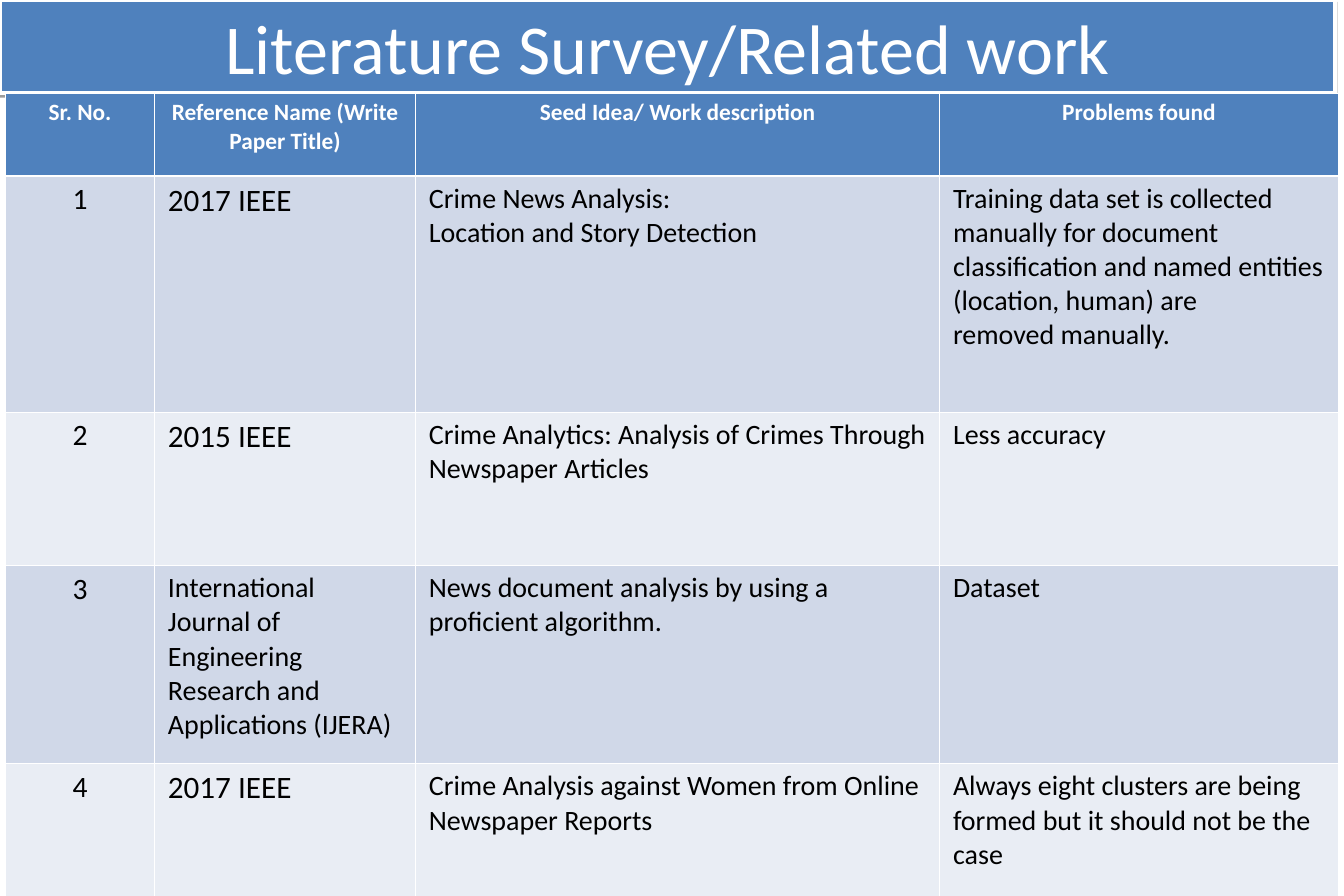
from lxml import etree
from pptx import Presentation
from pptx import util as u
from pptx.dml.color import RGBColor
from pptx.enum import text
from pptx.oxml import ns

HUES = {"head": "4F81BD", "odd": "D0D8E8", "even": "E9EDF4",
        "light": "FFFFFF", "dark": "000000"}
FONT = "Calibri"
THIN, THICK = 0.45, 1.47
COLS = [1.33, 2.33, 4.68, 3.56]
ROWS = [0.74, 2.11, 1.37, 1.77, 2.51]
HEADS = ["Sr. No.", "Reference Name (Write Paper Title)",
         "Seed Idea/ Work description", "Problems found"]
PAPERS = [
    ["1", "2017 IEEE",
     "Crime News Analysis:\nLocation and Story Detection",
     "Training data set is collected manually for document\n"
     "classification and named entities (location, human) are\n"
     "removed manually."],
    ["2", "2015 IEEE",
     "Crime Analytics: Analysis of Crimes Through Newspaper Articles",
     "Less accuracy"],
    ["3", "International Journal of Engineering Research and Applications (IJERA)",
     "News document analysis by using a proficient algorithm.",
     "Dataset"],
    ["4", "2017 IEEE",
     "Crime Analysis against Women from Online\nNewspaper Reports",
     "Always eight clusters are being formed but it should not be the case"],
]


def rgb(hue):
    return RGBColor.from_string(HUES[hue])


def node(base, tag, **attrs):
    return etree.SubElement(base, ns.qn(tag), attrs)


class Deck:
    def __init__(self, wide, high):
        self.prs = Presentation()
        self.prs.slide_width = u.Inches(wide)
        self.prs.slide_height = u.Inches(high)
        self.slide = self.prs.slides.add_slide(self.prs.slide_layouts[5])

    def label(self, frame, words, size, hue, bold=False, mid=False):
        """Fill a text frame, one paragraph for each line of words."""
        frame.word_wrap = True
        for i, line in enumerate(words.split("\n")):
            para = frame.add_paragraph() if i else frame.paragraphs[0]
            para.alignment = text.PP_ALIGN.CENTER if mid else text.PP_ALIGN.LEFT
            run = para.add_run()
            run.text = line
            run.font.name = FONT
            run.font.size = u.Pt(size)
            run.font.bold = bold
            run.font.color.rgb = rgb(hue)

    def shade(self, shape):
        """Give a shape a soft black shadow straight below it."""
        shape.shadow.inherit = False
        glow = shape.element.spPr.find(ns.qn("a:effectLst"))
        drop = node(glow, "a:outerShdw", blurRad="0", dist=str(u.Pt(1.6)),
                    dir="5400000", rotWithShape="0")
        tint = node(drop, "a:srgbClr", val=HUES["dark"])
        node(tint, "a:alpha", val="38000")

    def title(self, words):
        shape = self.slide.shapes.title
        shape.left = shape.top = u.Inches(0)
        shape.width, shape.height = u.Inches(11.92), u.Inches(0.83)
        shape.fill.solid()
        shape.fill.fore_color.rgb = rgb("head")
        shape.line.color.rgb = rgb("light")
        shape.line.width = u.Pt(3)
        self.shade(shape)
        frame = shape.text_frame
        frame.auto_size = text.MSO_AUTO_SIZE.NONE
        frame.vertical_anchor = text.MSO_ANCHOR.MIDDLE
        frame.margin_left = frame.margin_right = u.Inches(0.11)
        frame.margin_top = frame.margin_bottom = u.Inches(0.06)
        self.label(frame, words, 45, "light", mid=True)

    def edge(self, cell, side, width):
        line = node(cell._tc.get_or_add_tcPr(), "a:ln" + side, w=str(u.Pt(width)))
        node(node(line, "a:solidFill"), "a:srgbClr", val=HUES["light"])

    def cell(self, cell, row, col, words):
        cell.margin_left = cell.margin_right = u.Inches(0.12)
        cell.margin_top = cell.margin_bottom = u.Inches(0.05)
        for side in "LRTB":
            heavy = (row, side) in [(0, "B"), (1, "T")]
            self.edge(cell, side, THICK if heavy else THIN)
        cell.fill.solid()
        if row == 0:
            cell.fill.fore_color.rgb = rgb("head")
            self.label(cell.text_frame, words, 15, "light", bold=True, mid=True)
            return
        cell.fill.fore_color.rgb = rgb("odd" if row % 2 else "even")
        size = 19 if col == 0 else 20 if words.endswith("IEEE") else 18
        self.label(cell.text_frame, words, size, "dark", mid=col == 0)

    def table(self, left, top, data):
        grid = self.slide.shapes.add_table(
            len(ROWS), len(COLS), u.Inches(left), u.Inches(top),
            u.Inches(sum(COLS)), u.Inches(sum(ROWS))).table
        for col, wide in zip(grid.columns, COLS):
            col.width = u.Inches(wide)
        for row, high in zip(grid.rows, ROWS):
            row.height = u.Inches(high)
        for r, line in enumerate(data):
            for c, words in enumerate(line):
                self.cell(grid.cell(r, c), r, c, words)


def main():
    deck = Deck(12, 8)
    deck.title("Literature Survey/Related work")
    deck.table(0.05, 0.83, [HEADS] + PAPERS)
    deck.prs.save("out.pptx")


if __name__ == "__main__":
    main()
